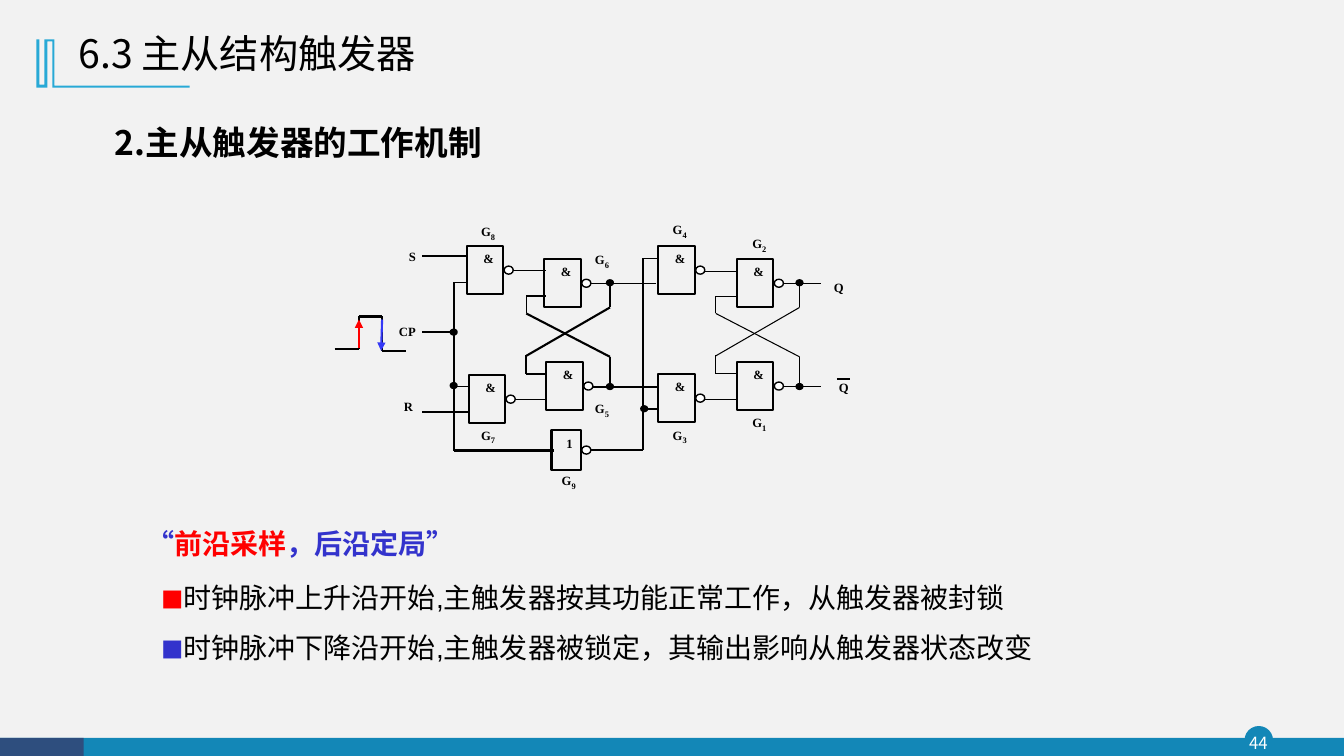
import dataclasses

import pptx
import pptx.dml.color
import pptx.enum.shapes
import pptx.enum.text
import pptx.oxml
import pptx.oxml.ns
import pptx.util

Inches = pptx.util.Inches
Pt = pptx.util.Pt
SHAPE = pptx.enum.shapes.MSO_SHAPE
ALIGN = pptx.enum.text.PP_ALIGN
ANCHOR = pptx.enum.text.MSO_ANCHOR


@dataclasses.dataclass(frozen=True)
class Theme:
    background: str = "F2F2F2"
    bar: str = "1387B7"
    corner: str = "2E4E7E"
    bracket: str = "28A9D6"
    white: str = "FFFFFF"
    ink: str = "000000"
    rising: str = "FF0000"
    falling: str = "3333CC"
    falling_arrow: str = "3438F6"
    cjk: str = "Noto Sans CJK SC"
    body: str = "Arial"
    label: str = "Times New Roman"
    title_size: float = 28
    heading_size: float = 24
    body_size: float = 20
    square_size: float = 16
    page_size: float = 12
    label_size: float = 9
    subscript_size: float = 6
    body_leading: float = 36
    thin: float = 0.75
    outline: float = 1
    thick: float = 1.5


@dataclasses.dataclass(frozen=True)
class Box:
    left: float
    top: float
    width: float = 0
    height: float = 0

    def inside(self, x, y, width=0, height=0):
        return Box(self.left + x, self.top + y, width, height)

    def lengths(self):
        return [Inches(n) for n in (self.left, self.top, self.width, self.height)]


THEME = Theme()


def colour(code):
    return pptx.dml.color.RGBColor.from_string(code)


# Basic parts
def add_preset(shapes, kind, box, fill=None, line=None, weight=THEME.thick):
    shape = shapes.add_shape(kind, *box.lengths())
    shape.shadow.inherit = False
    paint(shape, fill, line, weight)
    return shape


def paint(shape, fill, line=None, weight=THEME.thick):
    if fill:
        shape.fill.solid()
        shape.fill.fore_color.rgb = colour(fill)
    else:
        shape.fill.background()
    if line:
        shape.line.color.rgb = colour(line)
        shape.line.width = Pt(weight)
    else:
        shape.line.fill.background()


def add_wire(shapes, box, ends, weight, line=THEME.ink, arrow=False):
    x1, y1, x2, y2 = ends
    start, end = box.inside(x1, y1), box.inside(x2, y2)
    wire = shapes.add_connector(
        pptx.enum.shapes.MSO_CONNECTOR.STRAIGHT,
        *start.lengths()[:2], *end.lengths()[:2])
    wire.line.color.rgb = colour(line)
    wire.line.width = Pt(weight)
    if arrow:
        namespace = pptx.oxml.ns.nsdecls("a")
        wire.line._get_or_add_ln().append(
            pptx.oxml.parse_xml(f'<a:tailEnd {namespace} type="triangle"/>'))
    properties = wire._element.spPr
    properties.append(properties.makeelement(pptx.oxml.ns.qn("a:effectLst"), {}))


def add_text(shapes, box, paragraphs, font=THEME.cjk, insets=(0.1, 0.05, 0.1, 0.05),
             align=None, anchor=ANCHOR.TOP, wrap=True, spacing=None, indent=0):
    """Each paragraph is a list of (text, size, colour, bold) spans."""
    frame = shapes.add_textbox(*box.lengths()).text_frame
    frame.word_wrap = wrap
    frame.vertical_anchor = anchor
    (frame.margin_left, frame.margin_top,
     frame.margin_right, frame.margin_bottom) = [Inches(n) for n in insets]
    for index, spans in enumerate(paragraphs):
        para = frame.add_paragraph() if index else frame.paragraphs[0]
        para.alignment = align
        para.line_spacing = spacing
        if indent:
            para.level = 1
            properties = para._p.get_or_add_pPr()
            properties.set("marL", str(Inches(indent)))
            properties.set("indent", "0")
        for text, size, ink, bold in spans:
            span = para.add_run()
            span.text = text
            span.font.name = font
            span.font.size = Pt(size)
            span.font.bold = bold
            span.font.color.rgb = colour(ink)
            east = span._r.makeelement(pptx.oxml.ns.qn("a:ea"), {"typeface": THEME.cjk})
            span.font._element.find(pptx.oxml.ns.qn("a:latin")).addnext(east)


def add_label(shapes, box, text, size=THEME.label_size):
    add_text(shapes, box, [[(text, size, THEME.ink, True)]], THEME.label,
             (0, 0, 0, 0), ALIGN.CENTER, wrap=False)


# Footer with page number
def add_footer(page, box, number):
    shapes = page.shapes
    add_preset(shapes, SHAPE.OVAL, box.inside(12.35, -0.11, 0.27, 0.27),
               THEME.bar, THEME.bar, THEME.outline)
    add_preset(shapes, SHAPE.RECTANGLE, box, THEME.bar)
    add_preset(shapes, SHAPE.RECTANGLE, box.inside(0, 0, 0.83, box.height), THEME.corner)
    add_text(shapes, box.inside(12.32, -0.11, 0.32, 0.31),
             [[(number, THEME.page_size, THEME.white, False)]],
             insets=(0, 0, 0, 0), align=ALIGN.CENTER, anchor=ANCHOR.MIDDLE)


# Title with its bracket
def add_title(page, box, text):
    outline = [(0.18, 0), (0.18, 0.46), (1.52, 0.46), (1.52, 0.48), (0.16, 0.48),
               (0.16, 0.02), (0.11, 0.02), (0.11, 0.48), (0, 0.48), (0, 0),
               (0.03, 0), (0.03, 0.45), (0.08, 0.45), (0.08, 0)]
    points = [box.inside(x, y).lengths()[:2] for x, y in outline]
    builder = page.shapes.build_freeform(*points[0])
    builder.add_line_segments(points[1:], close=True)
    bracket = builder.convert_to_shape()
    bracket.shadow.inherit = False
    paint(bracket, THEME.bracket)
    add_text(page.shapes, box.inside(0.32, -0.18, 8.03, 0.68),
             [[(text, THEME.title_size, THEME.ink, False)]],
             anchor=ANCHOR.MIDDLE, spacing=0.9)


# Circuit diagram
def add_dot(shapes, box, x, y):
    add_preset(shapes, SHAPE.OVAL, box.inside(x - 0.03, y - 0.03, 0.06, 0.05),
               THEME.ink, THEME.ink)


def add_latch(shapes, box, weight):
    stubs = [(0, 0.54, 0, 0.37), (0.83, 0.48, 0.83, 0.24)]
    loops = [(0.83, 0.48, 0, 0.96), (0.83, 0.97, 0, 0.54), (0, 0.37, 0.2, 0.37),
             (0, 1.14, 0.2, 1.14), (0, 1.14, 0, 0.95), (0.83, 1.27, 0.83, 0.97)]
    for ends in stubs:
        add_wire(shapes, box, ends, THEME.thin)
    for ends in loops:
        add_wire(shapes, box, ends, weight)
    for y in (0.24, 1.27):
        add_dot(shapes, box, 0.83, y)


def add_gate(shapes, box, symbol, number, name_x, name_y):
    add_preset(shapes, SHAPE.OVAL,
               box.inside(box.width + 0.01, box.height / 2 - 0.04, 0.09, 0.08),
               THEME.white, THEME.ink, THEME.outline)
    add_preset(shapes, SHAPE.RECTANGLE, box, line=THEME.ink)
    add_label(shapes, box.inside(box.width / 2 - 0.02, 0.05, 0.11, 0.15), symbol)
    add_label(shapes, box.inside(name_x, name_y, 0.1, 0.15), "G")
    add_label(shapes, box.inside(name_x + 0.1, name_y + 0.08, 0.04, 0.1), number,
              THEME.subscript_size)


def add_circuit(page, box):
    shapes = page.shapes.add_group_shape().shapes
    thin_wires = [
        (3.73, 1.83, 4.14, 1.83), (3.73, 0.81, 4.14, 0.81), (1.85, 0.81, 2.51, 0.81),
        (1.06, 0.68, 1.42, 0.68), (1.06, 1.96, 1.42, 1.96), (0.5, 0.8, 0.64, 0.8),
        (0.5, 1.83, 0.65, 1.83), (2.95, 0.69, 3.31, 0.69), (2.95, 1.96, 3.31, 1.96),
        (2.38, 0.56, 2.53, 0.56), (4.3, 1.76, 4.43, 1.76)]
    thick_wires = [
        (1.79, 2.46, 2.38, 2.46), (1.85, 1.84, 2.54, 1.84), (0.19, 0.54, 0.64, 0.54),
        (0.5, 0.8, 0.5, 2.47), (0.19, 2.09, 0.64, 2.09), (0.19, 1.29, 0.51, 1.29),
        (2.38, 0.56, 2.38, 2.46), (0.5, 2.47, 1.49, 2.47), (2.38, 2.06, 2.53, 2.06)]
    for wires, weight in ((thin_wires, THEME.thin), (thick_wires, THEME.thick)):
        for ends in wires:
            add_wire(shapes, box, ends, weight)
    for x, weight in ((1.22, THEME.thick), (3.1, THEME.thin)):
        add_latch(shapes, box.inside(x, 0.57), weight)
    for x, y in ((0.5, 1.3), (0.5, 1.83), (2.39, 2.06)):
        add_dot(shapes, box, x, y)
    gates = [("8", 0.63, 0.44, 0.14, -0.22), ("7", 0.65, 1.72, 0.12, 0.52),
             ("6", 1.4, 0.57, 0.5, -0.07), ("5", 1.42, 1.59, 0.48, 0.39),
             ("4", 2.53, 0.44, 0.14, -0.24), ("3", 2.53, 1.71, 0.14, 0.53),
             ("2", 3.31, 0.57, 0.15, -0.23), ("1", 3.31, 1.59, 0.15, 0.53)]
    for number, x, y, name_x, name_y in gates:
        add_gate(shapes, box.inside(x, y, 0.36, 0.48), "&", number, name_x, name_y)
    add_gate(shapes, box.inside(1.47, 2.27, 0.29, 0.39), "1", "9", 0.1, 0.42)
    for text, x, y, width in (("S", 0.04, 0.47, 0.1), ("CP", -0.06, 1.21, 0.2),
                              ("R", 0, 1.96, 0.1), ("Q", 4.27, 0.78, 0.1),
                              ("Q", 4.32, 1.77, 0.1)):
        add_label(shapes, box.inside(x, y, width, 0.15), text)


# Clock pulse with marked edges
def add_pulse(page, box):
    shapes = page.shapes.add_group_shape().shapes
    corners = [(0, 0.33), (0.24, 0.33), (0.24, 0.01), (0.47, 0.01), (0.47, 0.35), (0.71, 0.35)]
    for start, end in zip(corners, corners[1:]):
        add_wire(shapes, box, start + end, THEME.thick)
    for ends, line in (((0.24, 0.32, 0.24, 0.04), THEME.rising),
                       ((0.47, 0.04, 0.46, 0.35), THEME.falling_arrow)):
        add_wire(page.shapes, box, ends, THEME.thick, line, arrow=True)


# Heading and explanation
def add_heading(page, box, text):
    add_text(page.shapes, box, [[(text, THEME.heading_size, THEME.ink, True)]],
             insets=(0.18, 0.05, 0.1, 0.05))


def add_notes(page, box):
    size = THEME.body_size
    motto = [("“", size, THEME.falling, True), ("前沿采样", size, THEME.rising, True),
             ("，后沿定局”", size, THEME.falling, True)]
    add_text(page.shapes, box.inside(0.04, 0, 4.19, 0.61), [motto], THEME.body,
             (0.41, 0.05, 0.1, 0.05), spacing=Pt(THEME.body_leading))
    points = [(THEME.rising, "时钟脉冲上升沿开始,主触发器按其功能正常工作，从触发器被封锁"),
              (THEME.falling, "时钟脉冲下降沿开始,主触发器被锁定，其输出影响从触发器状态改变")]
    add_text(page.shapes, box.inside(0, 0.53, box.width, 1.11),
             [[("■", THEME.square_size, ink, False), (text, size, THEME.ink, False)]
              for ink, text in points],
             THEME.body, spacing=Pt(THEME.body_leading), indent=0.5)


def main():
    deck = pptx.Presentation()
    deck.slide_width, deck.slide_height = Inches(13.33), Inches(7.5)
    page = deck.slides.add_slide(deck.slide_layouts[6])
    page.background.fill.solid()
    page.background.fill.fore_color.rgb = colour(THEME.background)
    add_footer(page, Box(0, 7.32, 13.33, 0.19), "44")
    add_title(page, Box(0.36, 0.39), "6.3 主从结构触发器")
    add_heading(page, Box(0.96, 1.16, 4.4, 0.59), "2.主从触发器的工作机制")
    add_notes(page, Box(1, 5.01, 9.45, 1.65))
    add_circuit(page, Box(4, 2))
    add_pulse(page, Box(3.32, 3.13))
    deck.save("out.pptx")


if __name__ == "__main__":
    main()
